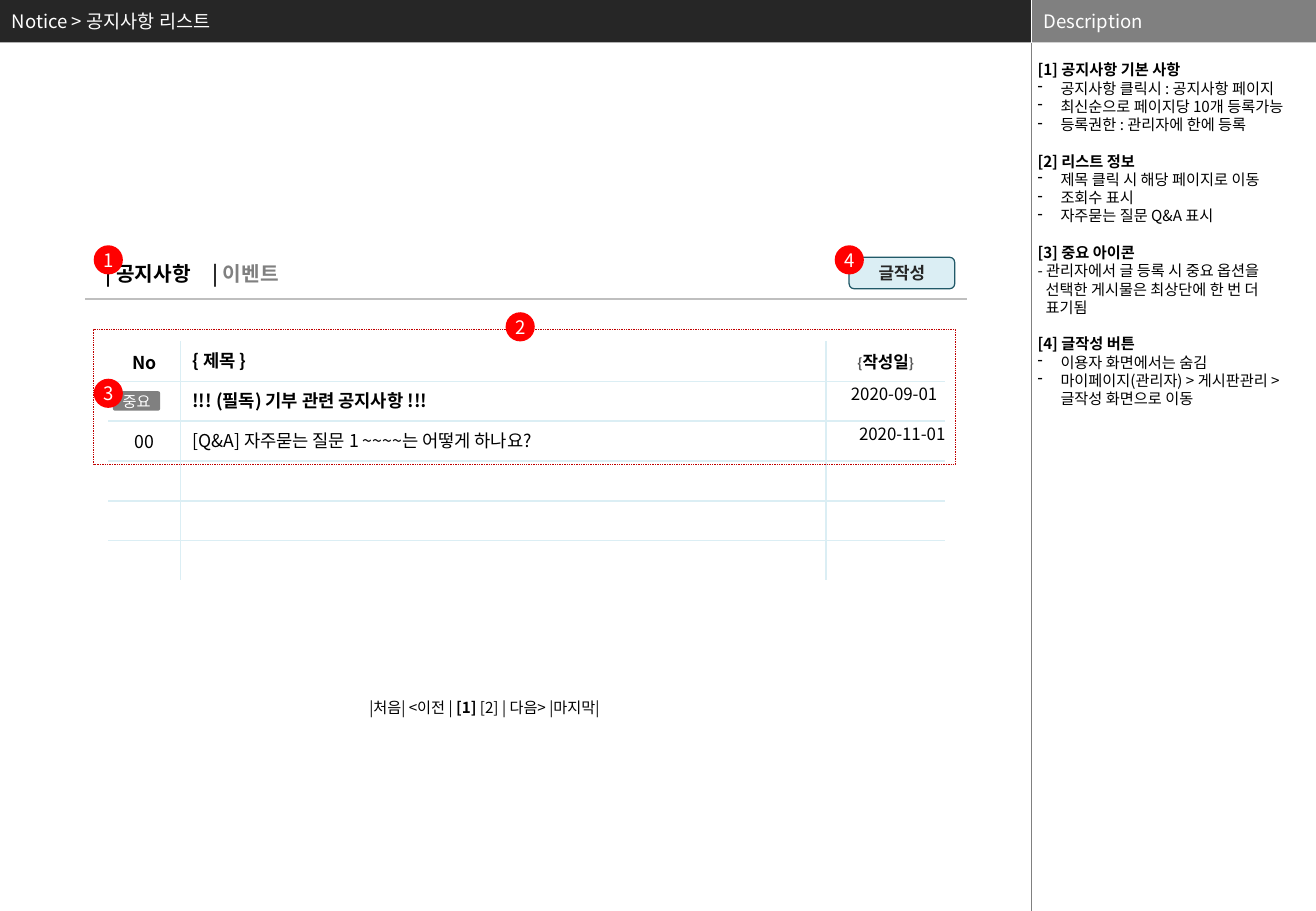
from dataclasses import dataclass
from typing import Any, NamedTuple, Optional

import lxml.etree
import pptx
import pptx.dml.color
import pptx.enum.dml
import pptx.enum.shapes
import pptx.enum.text
import pptx.oxml.ns
import pptx.util

Cm = pptx.util.Cm
Pt = pptx.util.Pt
RGBColor = pptx.dml.color.RGBColor
Kind = pptx.enum.shapes.MSO_SHAPE
Align = pptx.enum.text.PP_ALIGN
Anchor = pptx.enum.text.MSO_ANCHOR
Dash = pptx.enum.dml.MSO_LINE
qn = pptx.oxml.ns.qn

FONT = "Noto Sans CJK KR"
BLACK = RGBColor(0x00, 0x00, 0x00)
WHITE = RGBColor(0xFF, 0xFF, 0xFF)
DARK = RGBColor(0x26, 0x26, 0x26)
SLATE = RGBColor(0x59, 0x59, 0x59)
GRAY = RGBColor(0x80, 0x80, 0x80)
SILVER = RGBColor(0xBF, 0xBF, 0xBF)
RED = RGBColor(0xFF, 0x00, 0x00)
CRIMSON = RGBColor(0xC0, 0x00, 0x00)
ICE = RGBColor(0xDB, 0xEE, 0xF4)
TEAL = RGBColor(0x21, 0x59, 0x68)

WIDTH, HEIGHT = 27.51, 19.05
SPLIT, BAR = 21.56, 0.89
EDGE = 1.96
BADGE = 0.61


class Area(NamedTuple):
    left: float
    top: float
    width: float
    height: float


class Span(NamedTuple):
    words: str
    size: float = 10.5
    color: RGBColor = BLACK
    bold: bool = False


@dataclass
class Shape:
    area: Area
    kind: Any = Kind.RECTANGLE
    fill: Optional[RGBColor] = None
    line: Optional[RGBColor] = None
    weight: float = 0.75
    dash: Any = None
    round: Optional[float] = None
    span: Optional[Span] = None


@dataclass
class Label:
    area: Area
    spans: list[Span]
    anchor: Any = Anchor.TOP


@dataclass
class Cell:
    spans: list[Span]
    align: Any = Align.LEFT
    anchor: Any = Anchor.TOP
    inset: bool = True
    right: float = 0


@dataclass
class Note:
    head: str
    items: list[str]
    bullet: bool = True


def place(area: Area) -> list[int]:
    return [Cm(length) for length in area]


def write(para: Any, spans: list[Span]) -> None:
    para.text = spans[0].words
    for span in spans[1:]:
        para.add_run().text = span.words
    for run, span in zip(para.runs, spans):
        run.font.name = FONT
        run.font.size = Pt(span.size)
        run.font.bold = span.bold
        run.font.color.rgb = span.color
        east = lxml.etree.SubElement(run.font._element, qn("a:ea"))
        east.set("typeface", FONT)


def pad(frame: Any, side: float, top: float = 0) -> None:
    frame.margin_left = frame.margin_right = Cm(side)
    frame.margin_top, frame.margin_bottom = Cm(top), 0


def draw_shape(slide: Any, item: Shape) -> None:
    shape = slide.shapes.add_shape(item.kind, *place(item.area))
    shape.shadow.inherit = False
    if item.round is not None:
        shape.adjustments[0] = item.round
    if item.fill is None:
        shape.fill.background()
    else:
        shape.fill.solid()
        shape.fill.fore_color.rgb = item.fill
    if item.line is None:
        shape.line.fill.background()
    else:
        shape.line.color.rgb = item.line
        shape.line.width = Pt(item.weight)
        shape.line.dash_style = item.dash
    if item.span:
        frame = shape.text_frame
        pad(frame, 0)
        frame.word_wrap = False
        frame.vertical_anchor = Anchor.MIDDLE
        write(frame.paragraphs[0], [item.span])
        frame.paragraphs[0].alignment = Align.CENTER


def draw_label(slide: Any, item: Label) -> None:
    frame = slide.shapes.add_textbox(*place(item.area)).text_frame
    frame.word_wrap = True
    frame.vertical_anchor = item.anchor
    write(frame.paragraphs[0], item.spans)


def draw_line(slide: Any, ends: Area, color: RGBColor, weight: float) -> None:
    link = slide.shapes.add_connector(pptx.enum.shapes.MSO_CONNECTOR.STRAIGHT, *place(ends))
    link.line.color.rgb = color
    link.line.width = Pt(weight)
    lxml.etree.SubElement(link._element.spPr, qn("a:effectLst"))


def draw_edge(cell: Any, side: str, shown: bool) -> None:
    edge = lxml.etree.SubElement(cell._tc.get_or_add_tcPr(), qn(f"a:ln{side}"), w=str(Pt(1)))
    fill = lxml.etree.SubElement(edge, qn("a:solidFill" if shown else "a:noFill"))
    if shown:
        lxml.etree.SubElement(fill, qn("a:srgbClr"), val=str(ICE))


def draw_table(slide: Any, area: Area, wides: list[float], count: int, rows: list[list[Cell]]) -> None:
    table = slide.shapes.add_table(count, len(wides), *place(area)).table
    table.first_row = table.horz_banding = False
    for col, wide in zip(table.columns, wides):
        col.width = Cm(wide)
    for r, row in enumerate(table.rows):
        row.height = Cm(area.height / count)
        for c, cell in enumerate(row.cells):
            # Only the inner grid is ruled
            inner = {"L": c > 0, "R": c < len(wides) - 1, "T": r > 0, "B": r < count - 1}
            for side, shown in inner.items():
                draw_edge(cell, side, shown)
            cell.fill.solid()
            cell.fill.fore_color.rgb = WHITE
            para = cell.text_frame.paragraphs[0]
            item = rows[r][c] if r < len(rows) else None
            if item is None or not item.spans:
                lxml.etree.SubElement(para._p, qn("a:endParaRPr"), sz="1000")
                continue
            write(para, item.spans)
            para.alignment = item.align
            cell.vertical_anchor = item.anchor
            if not item.inset:
                pad(cell, 0)
                cell.margin_right = Cm(item.right)


def draw_notes(slide: Any, area: Area, notes: list[Note]) -> None:
    frame = slide.shapes.add_textbox(*place(area)).text_frame
    frame.word_wrap = True
    pad(frame, 0.1, 0.38)
    for n, note in enumerate(notes):
        head = frame.add_paragraph() if n else frame.paragraphs[0]
        write(head, [Span(note.head, 9, bold=True)])
        if n:
            head.space_before = Pt(10.8)
        for k, words in enumerate(note.items):
            para = frame.add_paragraph()
            write(para, [Span(words, 9)])
            props = para._p.get_or_add_pPr()
            if note.bullet:
                props.set("marL", str(Cm(0.48)))
                props.set("indent", str(-Cm(0.48)))
                lxml.etree.SubElement(props, qn("a:buChar"), char="-")
            elif k:
                props.set("marL", str(Cm(0.17)))


def badge(number: int, left: float, top: float) -> Shape:
    return Shape(Area(left, top, BADGE, BADGE), Kind.OVAL, RED, span=Span(str(number), 11, WHITE))


def main() -> None:
    deck = pptx.Presentation()
    deck.slide_width, deck.slide_height = Cm(WIDTH), Cm(HEIGHT)
    slide = deck.slides.add_slide(deck.slide_layouts[6])

    # Top bars and side rule
    side = WIDTH - SPLIT
    draw_shape(slide, Shape(Area(0, 0, SPLIT, BAR), fill=DARK))
    draw_shape(slide, Shape(Area(SPLIT, 0, side, BAR), fill=GRAY))
    draw_line(slide, Area(SPLIT, 0, SPLIT, BAR), WHITE, 0.25)
    draw_line(slide, Area(SPLIT, BAR, SPLIT, HEIGHT), GRAY, 0.25)
    for left, wide, words in [(0, 20.96, "Notice > 공지사항 리스트"), (SPLIT, side, "Description")]:
        draw_label(slide, Label(Area(left, 0, wide, BAR), [Span(words, 11, WHITE)], Anchor.MIDDLE))

    # Notice list
    mid = (Align.CENTER, Anchor.MIDDLE)
    date = (Align.RIGHT, Anchor.TOP, False)
    rows = [
        [Cell([Span("No", bold=True)], *mid),
         Cell([Span("{ 제목 }", bold=True)]),
         Cell([Span("{", 8, SLATE, True), Span("작성일", 10, bold=True), Span("}", 8, SLATE, True)], *mid, False)],
        [Cell([]), Cell([Span("!!! (필독) 기부 관련 공지사항 !!!", bold=True)]),
         Cell([Span("2020-09-01", 10)], *date, 0.17)],
        [Cell([Span("00")], *mid), Cell([Span("[Q&A] 자주묻는 질문 1 ~~~~는 어떻게 하나요?")]),
         Cell([Span("2020-11-01", 10)], *date)],
    ]
    draw_table(slide, Area(2.26, 7.14, 17.5, 5), [1.51, 13.5, 2.49], 6, rows)

    # Description notes
    draw_notes(slide, Area(21.59, BAR, 5.92, HEIGHT - BAR), [
        Note("[1] 공지사항 기본 사항", ["공지사항 클릭시 : 공지사항 페이지", "최신순으로 페이지당 10개 등록가능",
                                "등록권한 : 관리자에 한에 등록"]),
        Note("[2] 리스트 정보", ["제목 클릭 시 해당 페이지로 이동", "조회수 표시", "자주묻는 질문 Q&A 표시"]),
        Note("[3] 중요 아이콘", ["- 관리자에서 글 등록 시 중요 옵션을", "선택한 게시물은 최상단에 한 번 더", "표기됨"], False),
        Note("[4] 글작성 버튼", ["이용자 화면에서는 숨김", "마이페이지(관리자) > 게시판관리 > 글작성 화면으로 이동"]),
    ])

    # Tabs and page links
    draw_line(slide, Area(1.78, 6.25, 20.22, 6.25), SILVER, 0.75)
    for label in [
        Label(Area(EDGE, 5.33, 3.35, 0.76), [Span("| 공지사항", 12, bold=True)]),
        Label(Area(4.19, 5.33, 3.35, 0.76), [Span("| ", 12, DARK, True), Span("이벤트", 12, GRAY, True)]),
        Label(Area(7.47, 14.48, 6.1, 0.64),
              [Span("|처음| <이전 | ", 9), Span("[1]", 9, bold=True), Span(" [2] | 다음> |마지막|", 9)]),
    ]:
        draw_label(slide, label)

    # List frame, button, icon and numbered badges
    for shape in [
        Shape(Area(EDGE, 6.88, 18.01, 2.84), line=CRIMSON, weight=0.5, dash=Dash.ROUND_DOT),
        Shape(Area(17.75, 5.38, 2.21, 0.66), Kind.ROUNDED_RECTANGLE, ICE, TEAL,
              span=Span("글작성", 10, DARK, True)),
        Shape(Area(2.36, 8.18, 0.99, 0.41), Kind.ROUNDED_RECTANGLE, GRAY, round=0.12,
              span=Span("중요", 9, WHITE)),
        badge(1, EDGE, 5.13),
        badge(2, 10.57, 6.53),
        badge(3, EDGE, 7.92),
        badge(4, 17.45, 5.13),
    ]:
        draw_shape(slide, shape)

    deck.save("out.pptx")


if __name__ == "__main__":
    main()
